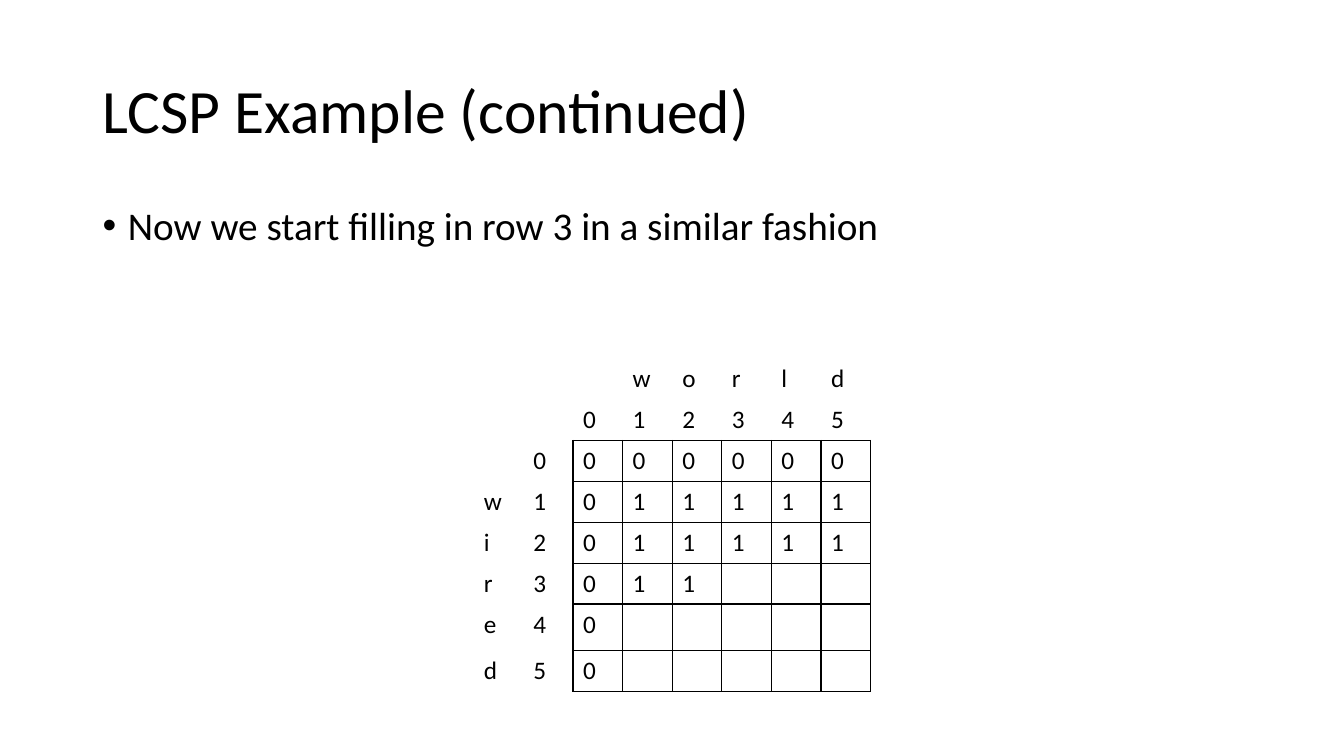
"""Build the slide that fills in the LCSP table for two words."""
from dataclasses import dataclass

from lxml.etree import SubElement
from pptx import Presentation
from pptx.dml.color import RGBColor
from pptx.enum.text import MSO_ANCHOR, MSO_AUTO_SIZE, PP_ALIGN
from pptx.oxml.ns import qn
from pptx.util import Cm, Pt

TITLE = "LCSP Example (continued)"
BULLET = "Now we start filling in row 3 in a similar fashion"
ACROSS = "world"
DOWN = "wired"
LENGTHS = [
    [0, 0, 0, 0, 0, 0],
    [0, 1, 1, 1, 1, 1],
    [0, 1, 1, 1, 1, 1],
    [0, 1, 1],
    [0],
    [0],
]
HEADERS = 2
SIZE = HEADERS + len(LENGTHS)
TITLE_BOX = (2.33, 1.02, 29.21, 3.68)
BODY_BOX = (2.33, 5.08, 29.21, 12.09)
TABLE_LEFT, TABLE_TOP = 11.94, 9.04
COLUMN_WIDTH, ROW_HEIGHT, TALL_HEIGHT = 1.25, 0.96, 1.17
TALL_ROW = 6
INDENT = 0.64


@dataclass(frozen=True)
class Theme:
    """Hold the colours, font and type sizes."""
    ink: str = "000000"
    paper: str = "FFFFFF"
    font: str = "Calibri"
    title: int = 44
    body: int = 28
    cell: int = 18
    border: int = 1


THEME = Theme()


def write_text(frame, text, *, size, spacing=None, before=0, anchor=MSO_ANCHOR.TOP):
    """Write one left-aligned paragraph and return it."""
    frame.word_wrap = True
    frame.vertical_anchor = anchor
    para = frame.paragraphs[0]
    para.alignment = PP_ALIGN.LEFT
    para.space_before = Pt(before)
    if spacing:
        para.line_spacing = spacing
    span = para.add_run()
    span.text = text
    span.font.name = THEME.font
    span.font.size = Pt(size)
    span.font.color.rgb = RGBColor.from_string(THEME.ink)
    return para


def place(box, bounds):
    """Move a placeholder to bounds in centimetres and fix its text size."""
    box.left, box.top, box.width, box.height = map(Cm, bounds)
    box.text_frame.auto_size = MSO_AUTO_SIZE.NONE


def set_borders(cell, ruled):
    """Draw the ruled sides of a cell and clear the others."""
    properties = cell._tc.get_or_add_tcPr()
    for side in "LRTB":
        line = SubElement(properties, qn(f"a:ln{side}"), w=str(Pt(THEME.border)))
        if side in ruled:
            fill = SubElement(line, qn("a:solidFill"))
            SubElement(fill, qn("a:srgbClr"), val=THEME.ink)
        else:
            SubElement(line, qn("a:noFill"))


def cell_text(row, column):
    """Return the letter, index or length that belongs in a cell."""
    i, j = row - HEADERS, column - HEADERS
    if i >= 0 and j >= 0:
        return str(LENGTHS[i][j]) if j < len(LENGTHS[i]) else ""
    if i < 0 and j < 0:
        return ""
    header, index, word = (row, j, ACROSS) if i < 0 else (column, i, DOWN)
    if header == 1:
        return str(index)
    return word[index - 1] if index else ""


def ruled_sides(row, column):
    """Return the sides of a cell that touch the ruled grid."""
    if row >= HEADERS and column >= HEADERS:
        return "LRTB"
    if row == HEADERS - 1 and column >= HEADERS:
        return "B"
    return "R" if column == HEADERS - 1 and row >= HEADERS else ""


def add_length_table(page):
    """Add the table of common subsequence lengths."""
    heights = [TALL_HEIGHT if row == TALL_ROW else ROW_HEIGHT for row in range(SIZE)]
    table = page.shapes.add_table(
        SIZE, SIZE, Cm(TABLE_LEFT), Cm(TABLE_TOP),
        Cm(COLUMN_WIDTH * SIZE), Cm(sum(heights))).table
    table.first_row = table.horz_banding = False
    for column in table.columns:
        column.width = Cm(COLUMN_WIDTH)
    for row, height in enumerate(heights):
        table.rows[row].height = Cm(height)
        for column in range(SIZE):
            cell = table.cell(row, column)
            set_borders(cell, ruled_sides(row, column))
            cell.fill.background()
            text = cell_text(row, column)
            if text:
                write_text(cell.text_frame, text, size=THEME.cell)


def main():
    """Build and save the deck."""
    deck = Presentation()
    deck.slide_width, deck.slide_height = Cm(33.87), Cm(19.05)
    page = deck.slides.add_slide(deck.slide_layouts[1])
    page.background.fill.solid()
    page.background.fill.fore_color.rgb = RGBColor.from_string(THEME.paper)

    title, body = page.placeholders
    place(title, TITLE_BOX)
    write_text(title.text_frame, TITLE, size=THEME.title, spacing=0.9,
               anchor=MSO_ANCHOR.MIDDLE)
    place(body, BODY_BOX)
    para = write_text(body.text_frame, BULLET, size=THEME.body, spacing=0.9, before=10)
    properties = para._p.get_or_add_pPr()
    properties.set("marL", str(Cm(INDENT)))
    properties.set("indent", str(-Cm(INDENT)))
    SubElement(properties, qn("a:buFont"), typeface="Arial")
    SubElement(properties, qn("a:buChar"), char="•")

    add_length_table(page)
    deck.save("out.pptx")


if __name__ == "__main__":
    main()
